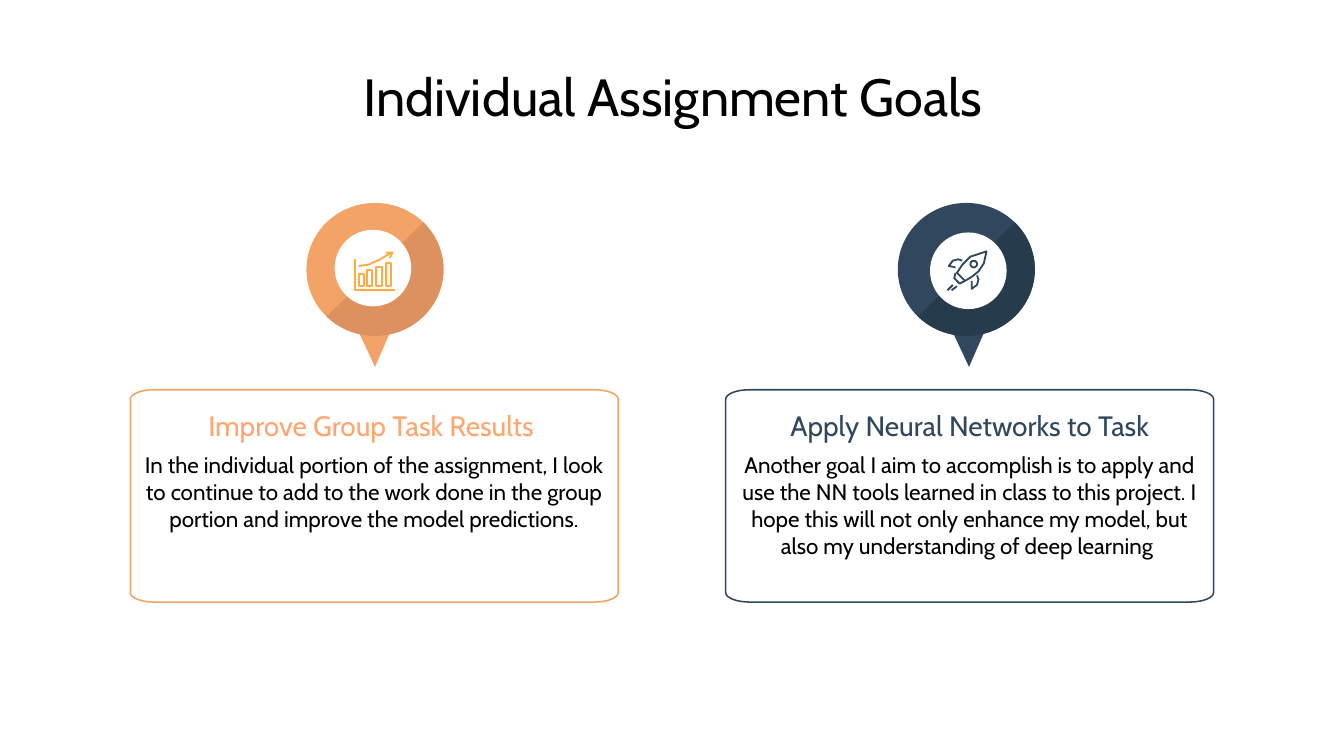
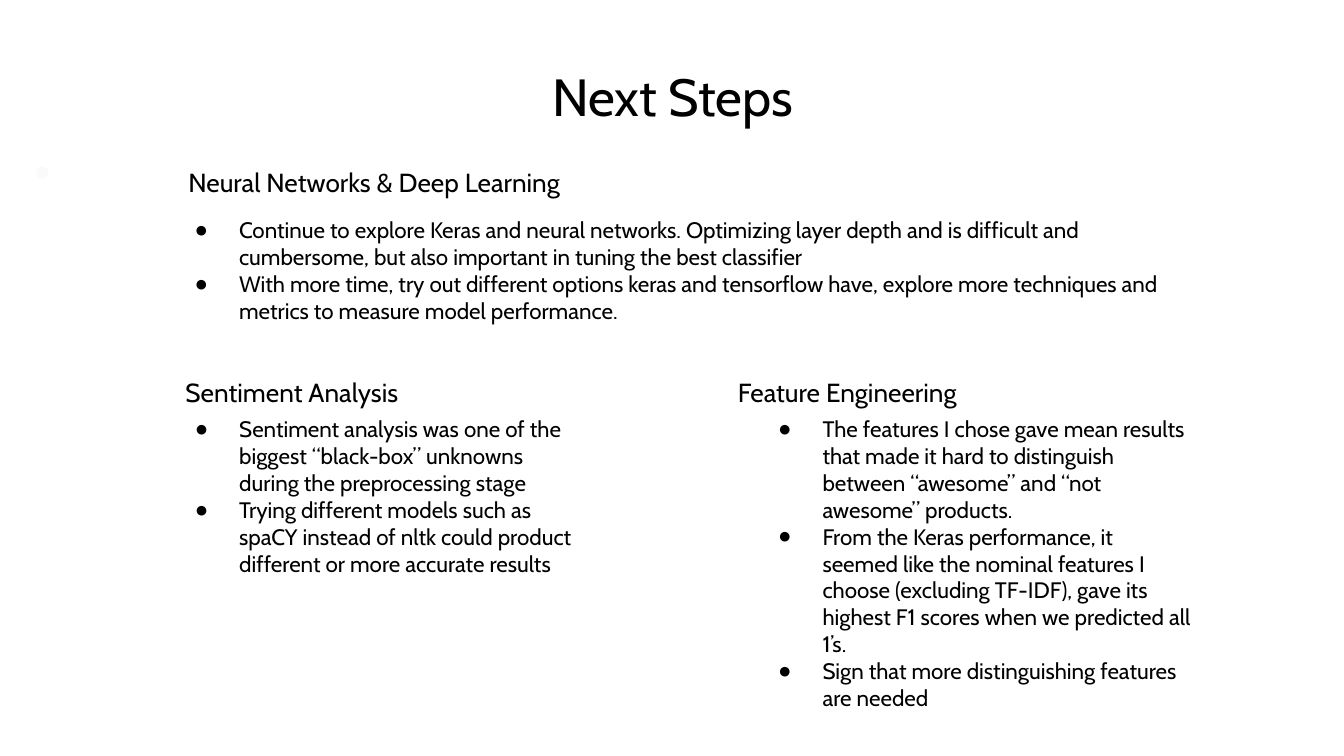
import math

from lxml import etree
from pptx import Presentation
from pptx import util as u
from pptx.dml.color import RGBColor
from pptx.enum import shapes, text
from pptx.oxml.ns import qn

COLORS = {"black": "000000", "white": "FFFFFF", "orange": "F2A365",
          "orange_shade": "DD915E", "peach": "FFA66F", "amber": "FFAB40",
          "navy": "30475E", "navy_shade": "263C4C", "dot": "FAFAFA"}
FONT, BULLET_FONT = "Cabin", "Arial"
COMPARISON = 4  # layout with a title and two pairs of heading and body
MIDDLE, TOP = text.MSO_ANCHOR.MIDDLE, text.MSO_ANCHOR.TOP
CENTER, LEFT = text.PP_ALIGN.CENTER, text.PP_ALIGN.LEFT


def px(n):
    """Turn px, 100 to the inch, into EMU."""
    return u.Emu(round(n * 9144))


def rgb(name):
    return RGBColor.from_string(COLORS[name])


def paint(sp, fill=None, line=None, width=1):
    sp.shadow.inherit = False
    if fill:
        sp.fill.solid()
        sp.fill.fore_color.rgb = rgb(fill)
    else:
        sp.fill.background()
    if line:
        sp.line.color.rgb = rgb(line)
        sp.line.width = u.Pt(width)
    else:
        sp.line.fill.background()


def outline(s, x, y, points, closed=True, **style):
    """Draw a polygon or an open line through points relative to x, y."""
    points = [(px(x + a), px(y + b)) for a, b in points]
    builder = s.shapes.build_freeform(*points[0], scale=1.0)
    builder.add_line_segments(points[1:], close=closed)
    paint(builder.convert_to_shape(), **style)


def oval(s, x, y, w, h, **style):
    kind = shapes.MSO_SHAPE.OVAL
    paint(s.shapes.add_shape(kind, px(x), px(y), px(w), px(h)), **style)


def arc(cx, cy, rx, ry, start, end, steps):
    angles = [math.radians(start + (end - start) * i / steps)
              for i in range(steps + 1)]
    return [(cx + rx * math.cos(a), cy + ry * math.sin(a)) for a in angles]


def set_bullet(p, bulleted):
    p_pr = p._p.get_or_add_pPr()
    p_pr.set("marL", str(px(50) if bulleted else 0))
    p_pr.set("indent", str(px(-33) if bulleted else 0))
    if bulleted:
        etree.SubElement(p_pr, qn("a:buFont"), typeface=BULLET_FONT)
        etree.SubElement(p_pr, qn("a:buChar"), char="●")
    else:
        etree.SubElement(p_pr, qn("a:buNone"))


def write(sp, box, lines, size, color="black", align=LEFT, anchor=TOP,
          bulleted=False):
    """Place a placeholder or text box and fill it, one paragraph a line."""
    sp.left, sp.top, sp.width, sp.height = map(px, box)
    tf = sp.text_frame
    tf.text = "\n".join(lines)
    tf.word_wrap = True
    tf.auto_size = text.MSO_AUTO_SIZE.NONE
    tf.vertical_anchor = anchor
    tf.margin_left = tf.margin_right = tf.margin_top = tf.margin_bottom = px(10)
    for p in tf.paragraphs:
        p.alignment = align
        p.space_before = p.space_after = u.Pt(0)
        set_bullet(p, bulleted)
        for r in p.runs:
            r.font.name, r.font.size, r.font.bold = FONT, u.Pt(size), False
            r.font.color.rgb = rgb(color)


def add_slide(prs, title):
    s = prs.slides.add_slide(prs.slide_layouts[COMPARISON])
    write(s.shapes.title, (78, 45, 845, 53), [title], 28,
          align=CENTER, anchor=MIDDLE)
    return s


def draw_pin(s, x, y, hole, tip_x, color):
    """Draw a map pin with a white hole; hole and tip_x are offsets."""
    rx, ry = 51, 49.5
    outline(s, x + tip_x, y + 90, [(0, 0), (15, 32), (29, 0)], fill=color)
    oval(s, x, y, 2 * rx, 2 * ry, fill=color)
    outline(s, x, y, arc(rx, ry, rx, ry, -45, 135, 36), fill=color + "_shade")
    oval(s, x + hole[0], y + hole[1], 57, 57, fill="white")


def draw_growth_icon(s, x, y):
    style = {"line": "amber"}
    outline(s, x, y, [(1, 6), (1, 29), (31, 29)], closed=False, **style)
    for i, top in enumerate((17, 14, 12, 9)):
        left = 4 + 20 * i // 3
        outline(s, x, y, [(left, top), (left + 4, top), (left + 4, 26),
                          (left, 26)], **style)
    outline(s, x, y, [(4, 11), (11, 10), (20, 6), (28, 1)], closed=False, **style)
    outline(s, x, y, [(24, 1), (29, 1), (27, 5)], closed=False, **style)


def draw_rocket_icon(s, x, y):
    style = {"line": "navy"}
    body = [(30, 1), (28, 10), (24, 16), (19, 20), (14, 23),
            (8, 17), (12, 11), (18, 5)]
    left_fin = [(12, 8), (9, 7), (5, 8), (2, 12), (7, 13)]
    right_fin = [(23, 19), (24, 22), (23, 26), (19, 29), (19, 23)]
    nozzle = [(7, 17), (6, 21), (10, 25), (14, 23)]
    outline(s, x, y, body, **style)
    for part in (left_fin, right_fin, nozzle):
        outline(s, x, y, part, closed=False, **style)
    oval(s, x + 18, y + 8, 5, 5, **style)
    for x1, y1, x2, y2 in ((1, 30, 5, 26), (4, 30, 8, 27)):
        flame = s.shapes.add_connector(
            shapes.MSO_CONNECTOR.STRAIGHT,
            px(x + x1), px(y + y1), px(x + x2), px(y + y2))
        flame.line.color.rgb = rgb("navy")
        flame.line.width = u.Pt(1)
        etree.SubElement(flame._element.spPr, qn("a:effectLst"))


def draw_card(s, x, y, heading, body, title, words, color, title_color):
    w, h, rx, ry = 363, 158, 18, 7
    corners = ((w - rx, h - ry, 0), (rx, h - ry, 90),
               (rx, ry, 180), (w - rx, ry, 270))
    points = [point for cx, cy, start in corners
              for point in arc(cx, cy, rx, ry, start, start + 90, 8)]
    outline(s, x, y, points, line=color, width=0.81)
    write(heading, (x, y, w, 53), [title], 15, title_color, CENTER, MIDDLE)
    write(body, (x, y + 36, w, 105), [words], 12, align=CENTER)


def goals_slide(prs):
    s = add_slide(prs, "Individual Assignment Goals")
    ph = s.placeholders
    draw_card(s, 97, 290, ph[1], ph[2], "Improve Group Task Results ",
              "In the individual portion of the assignment, I look to continue "
              "to add to the work done in the group portion and improve the "
              "model predictions.", "orange", "peach")
    draw_card(s, 540, 290, ph[3], ph[4], "Apply Neural Networks to Task",
              "Another goal I aim to accomplish is to apply and use the NN "
              "tools learned in class to this project. I hope this will not "
              "only enhance my model, but also my understanding of deep "
              "learning ", "navy", "navy")
    draw_pin(s, 228, 151, (21, 20), 36, "orange")
    draw_growth_icon(s, 263, 187)
    draw_pin(s, 668, 151, (24, 22), 38, "navy")
    draw_rocket_icon(s, 704, 186)


def draw_topic(heading, heading_box, title, body, body_box, points, align=LEFT):
    write(heading, heading_box, [title], 14, align=align)
    write(body, body_box, points, 12, bulleted=True)


def next_steps_slide(prs):
    s = add_slide(prs, "Next Steps")
    for x, y in ((523, 169), (27, 124)):
        oval(s, x, y, 9, 9, fill="dot")
    ph = s.placeholders
    heading, body = (s.shapes.add_textbox(0, 0, 0, 0) for _ in range(2))
    draw_topic(
        heading, (106, 114, 345, 31), "Neural Networks & Deep Learning",
        body, (118, 151, 758, 119),
        ["Continue to explore Keras and neural networks. Optimizing layer depth "
         "and is difficult and cumbersome, but also important in tuning the "
         "best classifier",
         "With more time, try out different options keras and tensorflow have, "
         "explore more techniques and metrics to measure model performance."],
        CENTER)
    draw_topic(
        ph[1], (128, 270, 243, 31), "Sentiment Analysis",
        ph[2], (118, 299, 322, 186),
        ["Sentiment analysis was one of the biggest “black-box” unknowns during "
         "the preprocessing stage",
         "Trying different models such as spaCY instead of nltk could product "
         "different or more accurate results"])
    draw_topic(
        ph[3], (539, 270, 243, 31), "Feature Engineering",
        ph[4], (552, 299, 345, 177),
        ["The features I chose gave mean results that made it hard to "
         "distinguish between “awesome” and “not awesome” products.",
         "From the Keras performance, it seemed like the nominal features I "
         "choose (excluding TF-IDF), gave its highest F1 scores when we "
         "predicted all 1’s.",
         "Sign that more distinguishing features are needed"])


def main():
    prs = Presentation()
    prs.slide_width = px(1000)
    prs.slide_height = prs.slide_width * 9 // 16
    goals_slide(prs)
    next_steps_slide(prs)
    prs.save("out.pptx")


if __name__ == "__main__":
    main()
